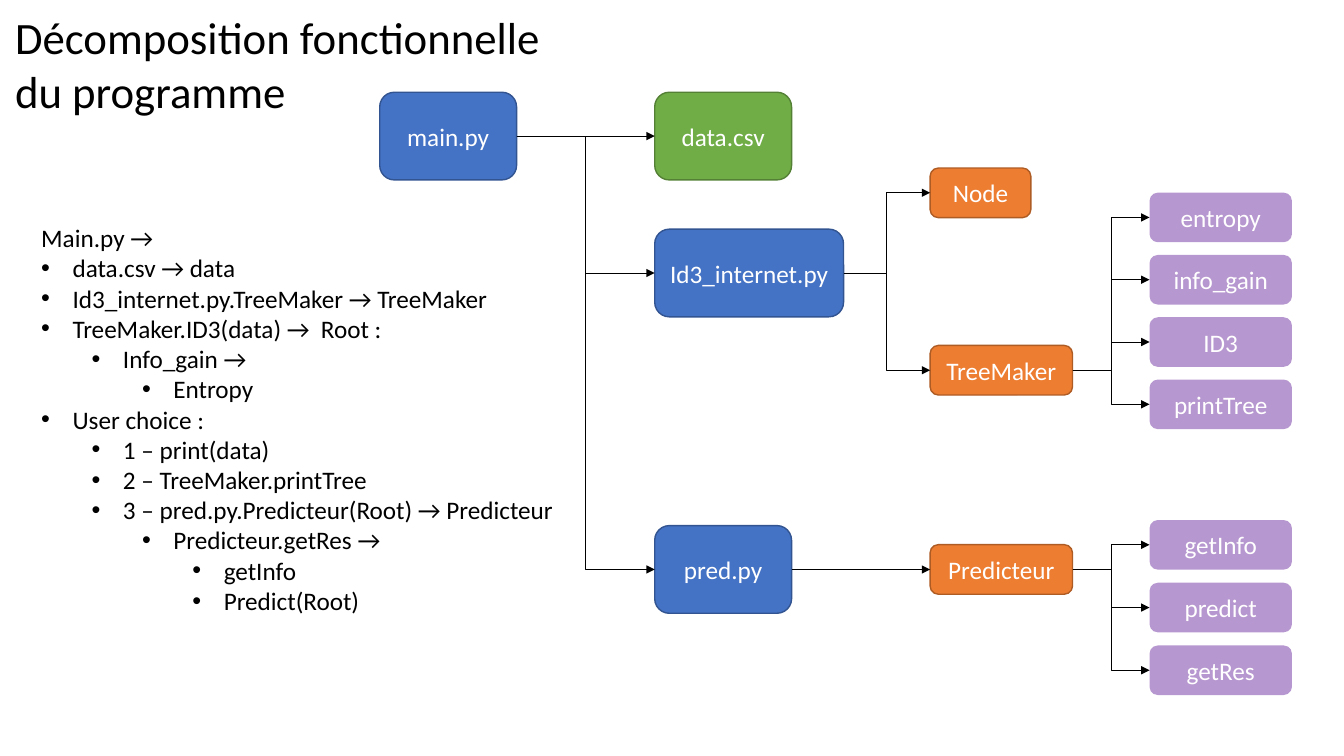
from lxml.etree import SubElement
from pptx import Presentation
from pptx.dml.color import RGBColor
from pptx.enum.shapes import MSO_CONNECTOR as Connector, MSO_SHAPE as Shape
from pptx.enum.text import MSO_ANCHOR as Anchor, PP_ALIGN as Align
from pptx.oxml.ns import qn
from pptx.util import Cm, Pt

FONT = "Calibri"
COLOURS = {
    "text": "000000", "label": "FFFFFF",
    "module": "4472C4", "module_line": "325491",
    "data": "70AD47", "data_line": "538035",
    "class": "ED7D31", "class_line": "AF5C24",
    "method": "7030A0",
}
TITLE = "Décomposition fonctionnelle du programme"
STEPS = [
    (None, "Main.py →"),
    (0, "data.csv → data"),
    (0, "Id3_internet.py.TreeMaker → TreeMaker"),
    (0, "TreeMaker.ID3(data) →  Root :"),
    (1, "Info_gain →"),
    (2, "Entropy"),
    (0, "User choice :"),
    (1, "1 – print(data)"),
    (1, "2 – TreeMaker.printTree"),
    (1, "3 – pred.py.Predicteur(Root) → Predicteur"),
    (2, "Predicteur.getRes →"),
    (3, "getInfo"),
    (3, "Predict(Root)"),
]
HEIGHTS = {"module": 2.21, "data": 2.21, "class": 1.25, "method": 1.25}
MAIN_LEFT, FILE_LEFT, CLASS_LEFT, METHOD_LEFT = 9.57, 16.5, 23.44, 28.97
FILE_WIDTH, CLASS_WIDTH = 3.45, 3.59
BOXES = [
    ("main.py", "module", MAIN_LEFT, 3.43, FILE_WIDTH),
    ("data.csv", "data", FILE_LEFT, 3.43, FILE_WIDTH),
    ("Id3_internet.py", "module", FILE_LEFT, 6.88, 4.76),
    ("pred.py", "module", FILE_LEFT, 14.35, FILE_WIDTH),
    ("Node", "class", CLASS_LEFT, 4.86, 2.54),
    ("TreeMaker", "class", CLASS_LEFT, 9.33, CLASS_WIDTH),
    ("Predicteur", "class", CLASS_LEFT, 14.35, CLASS_WIDTH),
]
METHODS = [
    (5.48, 1.57, ["entropy", "info_gain", "ID3", "printTree"]),
    (13.73, 1.58, ["getInfo", "predict", "getRes"]),
]
CALLS = {
    "main.py": ["data.csv", "Id3_internet.py", "pred.py"],
    "Id3_internet.py": ["Node", "TreeMaker"],
    "pred.py": ["Predicteur"],
    "TreeMaker": METHODS[0][2],
    "Predicteur": METHODS[1][2],
}


def colour(name):
    return RGBColor.from_string(COLOURS[name])


def write(paragraph, text, size, name):
    paragraph.text = text
    paragraph.font.name = FONT
    paragraph.font.size = Pt(size)
    paragraph.font.color.rgb = colour(name)


def add_text_box(slide, left, top, width, height):
    frame = slide.shapes.add_textbox(Cm(left), Cm(top), Cm(width), Cm(height)).text_frame
    frame.word_wrap = True
    return frame


def add_box(slide, text, kind, left, middle, width):
    height = HEIGHTS[kind]
    shape = slide.shapes.add_shape(
        Shape.ROUNDED_RECTANGLE, Cm(left), Cm(middle - height / 2), Cm(width), Cm(height))
    shape.shadow.inherit = False
    shape.fill.solid()
    shape.fill.fore_color.rgb = colour(kind)
    if kind == "method":
        shape.line.fill.background()
        rgb = shape.fill._xPr.find(qn("a:solidFill"))[0]
        SubElement(rgb, qn("a:alpha"), val="50000")
    else:
        shape.line.color.rgb = colour(kind + "_line")
        shape.line.width = Pt(1)
    shape.text_frame.vertical_anchor = Anchor.MIDDLE
    paragraph = shape.text_frame.paragraphs[0]
    write(paragraph, text, 18, "label")
    paragraph.alignment = Align.CENTER
    return shape


def add_arrow(slide, source, target):
    start_y = source.top + source.height // 2
    end_y = target.top + target.height // 2
    kind = Connector.STRAIGHT if abs(start_y - end_y) < Cm(0.01) else Connector.ELBOW
    arrow = slide.shapes.add_connector(
        kind, source.left + source.width, start_y, target.left, end_y)
    arrow.begin_connect(source, 3)
    arrow.end_connect(target, 1)
    arrow.line.color.rgb = colour("text")
    arrow.line.width = Pt(0.5)
    SubElement(arrow.line._get_or_add_ln(), qn("a:tailEnd"), type="triangle")
    SubElement(arrow._element.spPr, qn("a:effectLst"))


def add_bullet(paragraph, level):
    paragraph.level = level
    properties = paragraph._p.get_or_add_pPr()
    properties.set("marL", str(Cm(0.79 + 1.27 * level)))
    properties.set("indent", str(-Cm(0.79)))
    SubElement(properties, qn("a:buFont"), typeface="Arial")
    SubElement(properties, qn("a:buChar"), char="•")


def main():
    presentation = Presentation()
    presentation.slide_width, presentation.slide_height = Cm(33.87), Cm(19.05)
    slide = presentation.slides.add_slide(presentation.slide_layouts[6])

    boxes = BOXES + [
        (name, "method", METHOD_LEFT, first + row * pitch, CLASS_WIDTH)
        for first, pitch, names in METHODS for row, name in enumerate(names)
    ]
    shapes = {box[0]: add_box(slide, *box) for box in boxes}
    for source, targets in CALLS.items():
        for target in targets:
            add_arrow(slide, shapes[source], shapes[target])

    steps = add_text_box(slide, 0.79, 5.48, 13.51, 11.02)
    for index, (level, text) in enumerate(STEPS):
        paragraph = steps.add_paragraph() if index else steps.paragraphs[0]
        write(paragraph, text, 18, "text")
        if level is not None:
            add_bullet(paragraph, level)

    title = add_text_box(slide, 0.13, 0.13, 15.14, 3)
    write(title.paragraphs[0], TITLE, 32, "text")
    presentation.save("out.pptx")


if __name__ == "__main__":
    main()
